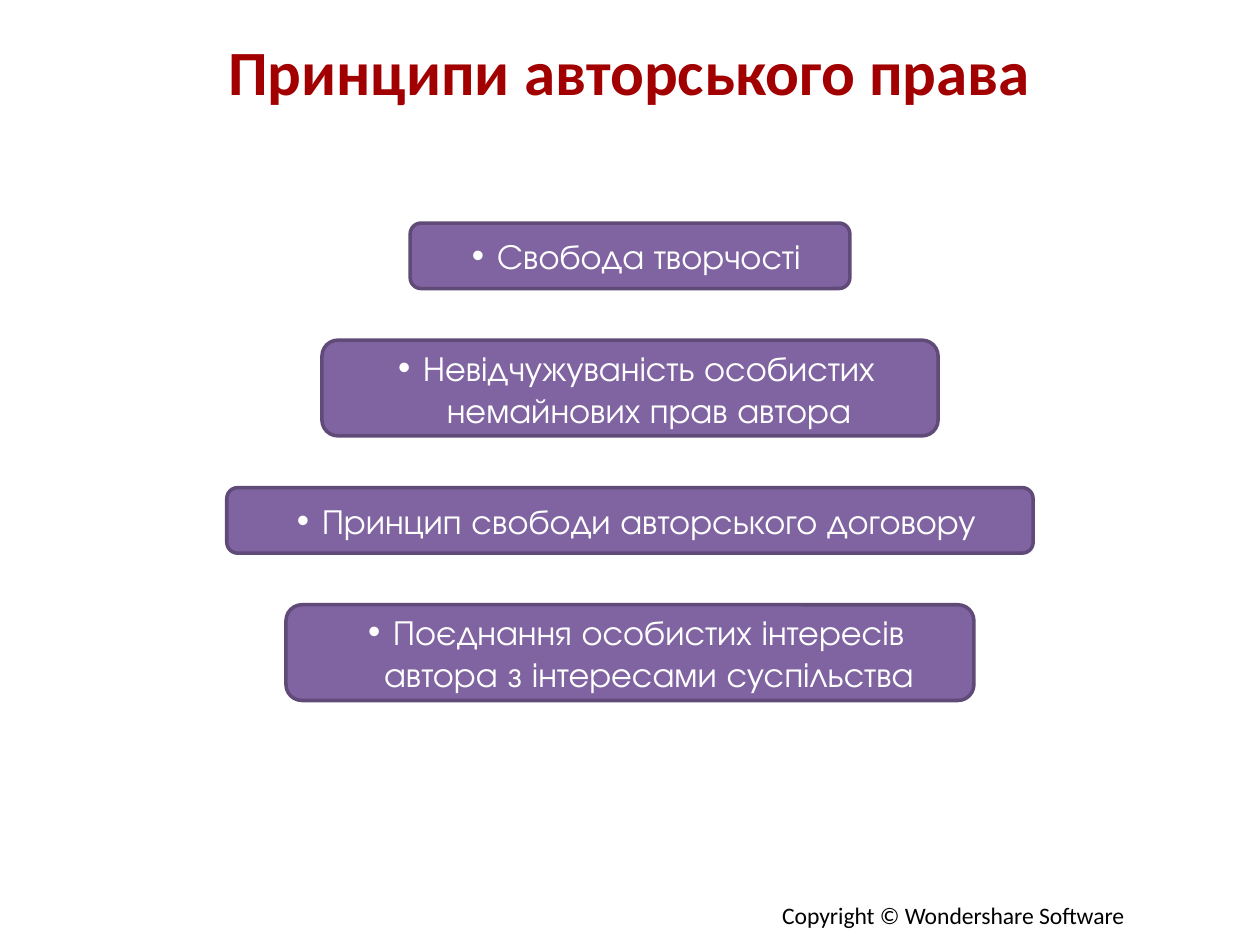
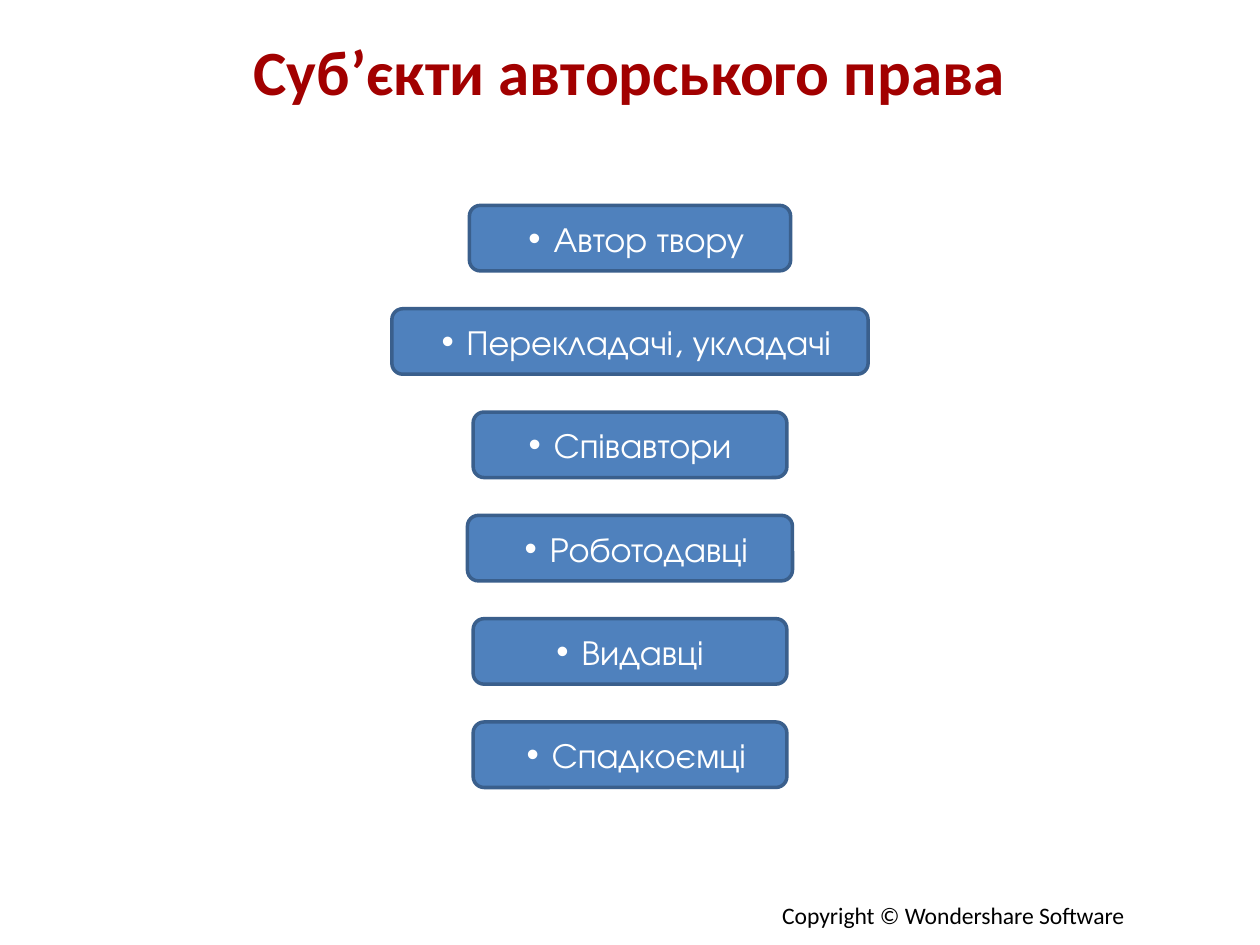
"""Builds two slides on the principles and the subjects of copyright."""
from copy import deepcopy
from dataclasses import dataclass

from lxml import etree
from pptx import Presentation
from pptx import util as u
from pptx.dml.color import RGBColor
from pptx.enum import shapes, text
from pptx.oxml import ns


@dataclass(frozen=True)
class Theme:
    title_font: str = "Calibri"
    item_font: str = "TeX Gyre Adventor"
    title_size: float = 36
    item_size: float = 20
    copyright_size: float = 13.5
    title_stops: tuple = ((0, "C00000"), (0.43, "A20000"), (1, "860000"))
    item_text: str = "FFFFFF"
    copyright_text: str = "000000"
    purple: tuple = ("8064A2", "5F4A78")
    blue: tuple = ("4F81BD", "3A5F8C")


theme = Theme()
SLIDE_WIDTH = 10
ONE_LINE, TWO_LINES = 0.52, 0.76

topics = [
    ("Принципи авторського права", theme.purple, 1.77, 0.41, [
        ("Свобода творчості", 3.49, ONE_LINE, 0.3),
        ("Невідчужуваність особистих немайнових прав автора", 4.89, TWO_LINES, 0.3),
        ("Принцип свободи авторського договору", 6.4, ONE_LINE, 0.3),
        ("Поєднання особистих інтересів автора з інтересами суспільства", 5.46, TWO_LINES, 0.3),
    ]),
    ("Суб’єкти авторського права", theme.blue, 1.63, 0.3, [
        ("Автор твору", 2.55, ONE_LINE, 0.3),
        ("Перекладачі, укладачі", 3.78, ONE_LINE, 0.3),
        ("Співавтори", 2.49, ONE_LINE, 0.2),
        ("Роботодавці", 2.58, ONE_LINE, 0.3),
        ("Видавці", 2.49, ONE_LINE, 0.2),
        ("Спадкоємці", 2.49, ONE_LINE, 0.3),
    ]),
]


def style_font(font, name, size, color=None):
    font.name = name
    font.size = u.Pt(size)
    if color:
        font.color.rgb = RGBColor.from_string(color)


def add_bullet(item, margin):
    properties = item.element.xpath(".//a:p")[0].get_or_add_pPr()
    properties.set("marL", str(u.Inches(margin)))
    properties.set("indent", str(u.Inches(-0.2)))
    etree.SubElement(properties, ns.qn("a:buFont"), typeface="Arial")
    etree.SubElement(properties, ns.qn("a:buChar"), char="•")


deck = Presentation()
deck.slide_width, deck.slide_height = u.Inches(SLIDE_WIDTH), u.Inches(7.5)
layout = deck.slide_layouts[5]

for heading, (fill, outline), top, gap, items in topics:
    slide = deck.slides.add_slide(layout)

    title = slide.shapes.title
    title.left, title.top = u.Inches(1.64), u.Inches(0.22)
    title.width, title.height = u.Inches(6.71), u.Inches(0.68)
    title.text_frame.text = heading
    title.text_frame.auto_size = text.MSO_AUTO_SIZE.NONE
    title.text_frame.vertical_anchor = text.MSO_ANCHOR.MIDDLE
    title.text_frame.paragraphs[0].alignment = text.PP_ALIGN.CENTER
    heading_font = title.text_frame.paragraphs[0].runs[0].font
    style_font(heading_font, theme.title_font, theme.title_size)
    heading_font.bold = True
    heading_font.fill.gradient()
    heading_font.fill.gradient_angle = 270
    stop_list = title.element.xpath(".//a:gsLst")[0]
    stop_list.append(deepcopy(stop_list[0]))
    for stop, (position, color) in zip(heading_font.fill.gradient_stops, theme.title_stops):
        stop.position = position
        stop.color.rgb = RGBColor.from_string(color)

    for wording, width, height, margin in items:
        item = slide.shapes.add_shape(
            shapes.MSO_SHAPE.ROUNDED_RECTANGLE,
            u.Inches((SLIDE_WIDTH - width) / 2), u.Inches(top),
            u.Inches(width), u.Inches(height))
        item.shadow.inherit = False
        item.fill.solid()
        item.fill.fore_color.rgb = RGBColor.from_string(fill)
        item.line.color.rgb = RGBColor.from_string(outline)
        item.line.width = u.Pt(2)
        item.text_frame.text = wording
        item.text_frame.word_wrap = True
        item.text_frame.vertical_anchor = text.MSO_ANCHOR.MIDDLE
        add_bullet(item, margin)
        paragraph = item.text_frame.paragraphs[0]
        paragraph.alignment = text.PP_ALIGN.CENTER
        style_font(paragraph.runs[0].font, theme.item_font, theme.item_size, theme.item_text)
        top += height + gap

notice = slide.shapes.add_textbox(
    u.Inches(6.11), u.Inches(7.1), u.Inches(2.97), u.Inches(0.33))
notice.text_frame.text = "Copyright © Wondershare Software"
notice.text_frame.word_wrap = False
notice.text_frame.auto_size = text.MSO_AUTO_SIZE.SHAPE_TO_FIT_TEXT
style_font(notice.text_frame.paragraphs[0].runs[0].font,
           theme.title_font, theme.copyright_size, theme.copyright_text)
notice.element.xpath("./p:nvSpPr/p:cNvPr")[0].set("id", "20")
layout.shapes.element.append(notice.element)

deck.save("out.pptx")
